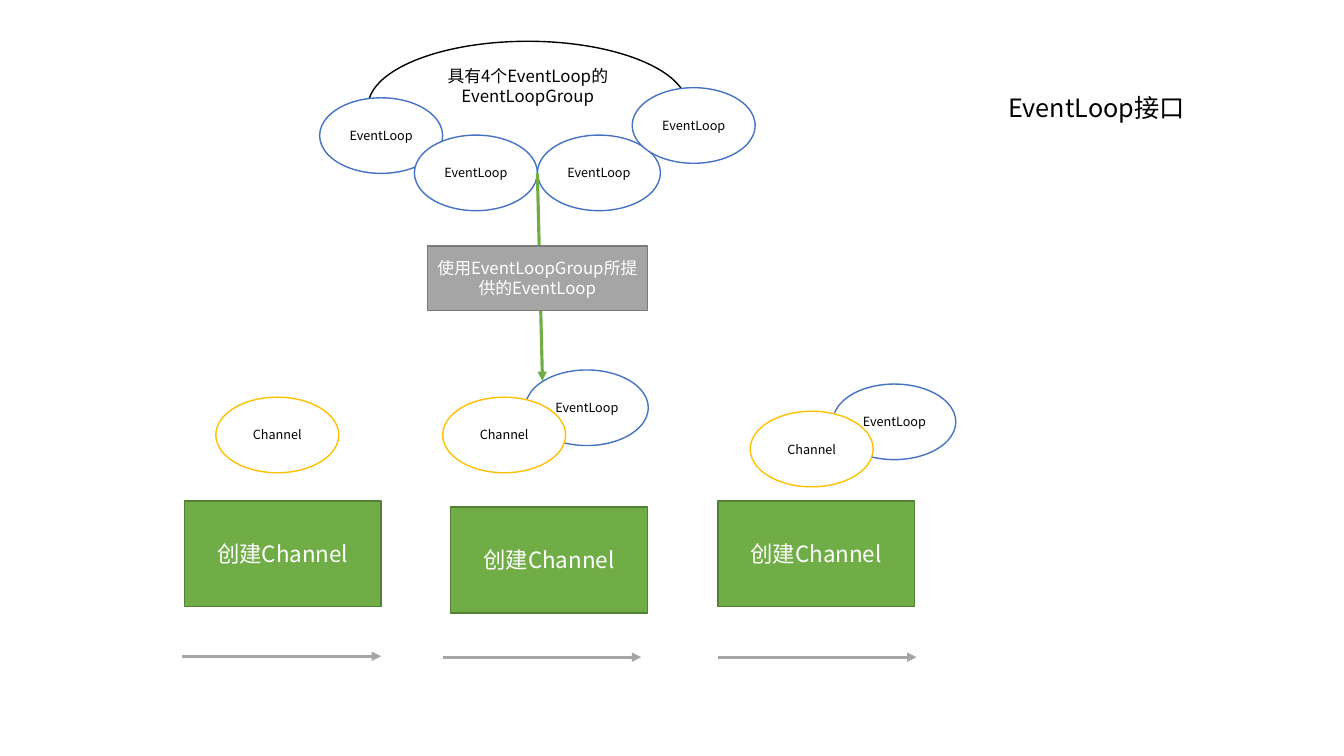
from dataclasses import dataclass

from lxml import etree
from pptx import Presentation
from pptx.dml.color import RGBColor
from pptx.enum.shapes import MSO_CONNECTOR, MSO_SHAPE
from pptx.enum.text import MSO_ANCHOR, PP_ALIGN
from pptx.oxml.ns import qn
from pptx.util import Inches, Pt


@dataclass(frozen=True)
class Theme:
    font: str = "Noto Sans CJK SC"
    black: str = "000000"
    white: str = "FFFFFF"
    blue: str = "4472C4"
    gold: str = "FFC000"
    green: str = "70AD47"
    dark_green: str = "538035"
    gray: str = "A5A5A5"
    dark_gray: str = "7A7A7A"
    title_size: float = 18
    step_size: float = 16
    note_size: float = 12
    oval_size: float = 9
    outline: float = 1
    arrow_width: float = 2.25


THEME = Theme()
OVAL = (1.22, 0.75)


def rgb(value):
    return RGBColor.from_string(value)


def write(frame, text, size, color, align, anchor):
    frame.word_wrap = True
    frame.vertical_anchor = anchor
    paragraph = frame.paragraphs[0]
    paragraph.alignment = align
    run = paragraph.add_run()
    run.text = text
    run.font.size = Pt(size)
    run.font.name = THEME.font
    run.font.color.rgb = rgb(color)
    east_asian = etree.SubElement(run.font._element, qn("a:ea"))
    east_asian.set("typeface", THEME.font)


def add_box(slide, kind, box, text, size, fill, line, color, anchor=MSO_ANCHOR.MIDDLE):
    shape = slide.shapes.add_shape(kind, *map(Inches, box))
    shape.shadow.inherit = False
    shape.fill.solid()
    shape.fill.fore_color.rgb = rgb(fill)
    shape.line.color.rgb = rgb(line)
    shape.line.width = Pt(THEME.outline)
    write(shape.text_frame, text, size, color, PP_ALIGN.CENTER, anchor)


def add_oval(slide, left, top, text, line):
    add_box(slide, MSO_SHAPE.OVAL, (left, top, *OVAL), text,
            THEME.oval_size, THEME.white, line, THEME.black)


def add_arrow(slide, start, end, color):
    arrow = slide.shapes.add_connector(
        MSO_CONNECTOR.STRAIGHT, *map(Inches, (*start, *end)))
    arrow.line.color.rgb = rgb(color)
    arrow.line.width = Pt(THEME.arrow_width)
    etree.SubElement(arrow.line._get_or_add_ln(), qn("a:tailEnd"), type="triangle")
    etree.SubElement(arrow._element.spPr, qn("a:effectLst"))


def add_title(slide, box):
    title = slide.shapes.title
    title.left, title.top, title.width, title.height = map(Inches, box)
    write(title.text_frame, "EventLoop接口", THEME.title_size, THEME.black,
          PP_ALIGN.LEFT, MSO_ANCHOR.TOP)


def add_loop_group(slide, left, top):
    # Large oval with its four event loops along the lower edge
    add_box(slide, MSO_SHAPE.OVAL, (left + 0.48, top, 3.17, 1.3),
            "具有4个EventLoop的EventLoopGroup", THEME.note_size,
            THEME.white, THEME.black, THEME.black, MSO_ANCHOR.TOP)
    for dx, dy in ((0, 0.56), (0.94, 0.93), (2.16, 0.93), (3.1, 0.46)):
        add_oval(slide, left + dx, top + dy, "EventLoop", THEME.blue)


def add_assignment(slide, left, top):
    # Arrow from the group to a channel, with the note over it
    add_arrow(slide, (left + 1.09, top - 0.72), (left + 1.14, top + 1.34), THEME.green)
    add_box(slide, MSO_SHAPE.RECTANGLE, (left, top, 2.18, 0.64),
            "使用EventLoopGroup所提供的EventLoop", THEME.note_size,
            THEME.gray, THEME.dark_gray, THEME.white)


def add_step(slide, left, top, channel, arrow, has_loop):
    # Channel and arrow are offsets from the step's rectangle
    x, y = left + channel[0], top + channel[1]
    if has_loop:
        add_oval(slide, x + 0.82, y - 0.27, "EventLoop", THEME.blue)
    add_oval(slide, x, y, "Channel", THEME.gold)
    add_box(slide, MSO_SHAPE.RECTANGLE, (left, top, 1.95, 1.05), "创建Channel",
            THEME.step_size, THEME.green, THEME.dark_green, THEME.white)
    x, y = left + arrow[0], top + arrow[1]
    add_arrow(slide, (x, y), (x + 1.97, y), THEME.gray)


def build():
    deck = Presentation()
    deck.slide_width, deck.slide_height = Inches(13.33), Inches(7.5)
    slide = deck.slides.add_slide(deck.slide_layouts[5])
    add_title(slide, (9.9, 0.87, 2.39, 0.4))
    add_loop_group(slide, 3.17, 0.41)
    add_assignment(slide, 4.24, 2.44)

    # Three channel-creation steps, left to right
    steps = (
        (1.83, 4.97, (0.31, -1.03), (-0.02, 1.54), False),
        (4.47, 5.03, (-0.08, -1.09), (-0.08, 1.49), True),
        (7.12, 4.97, (0.32, -0.89), (0, 1.55), True),
    )
    for step in steps:
        add_step(slide, *step)
    deck.save("out.pptx")


build()
